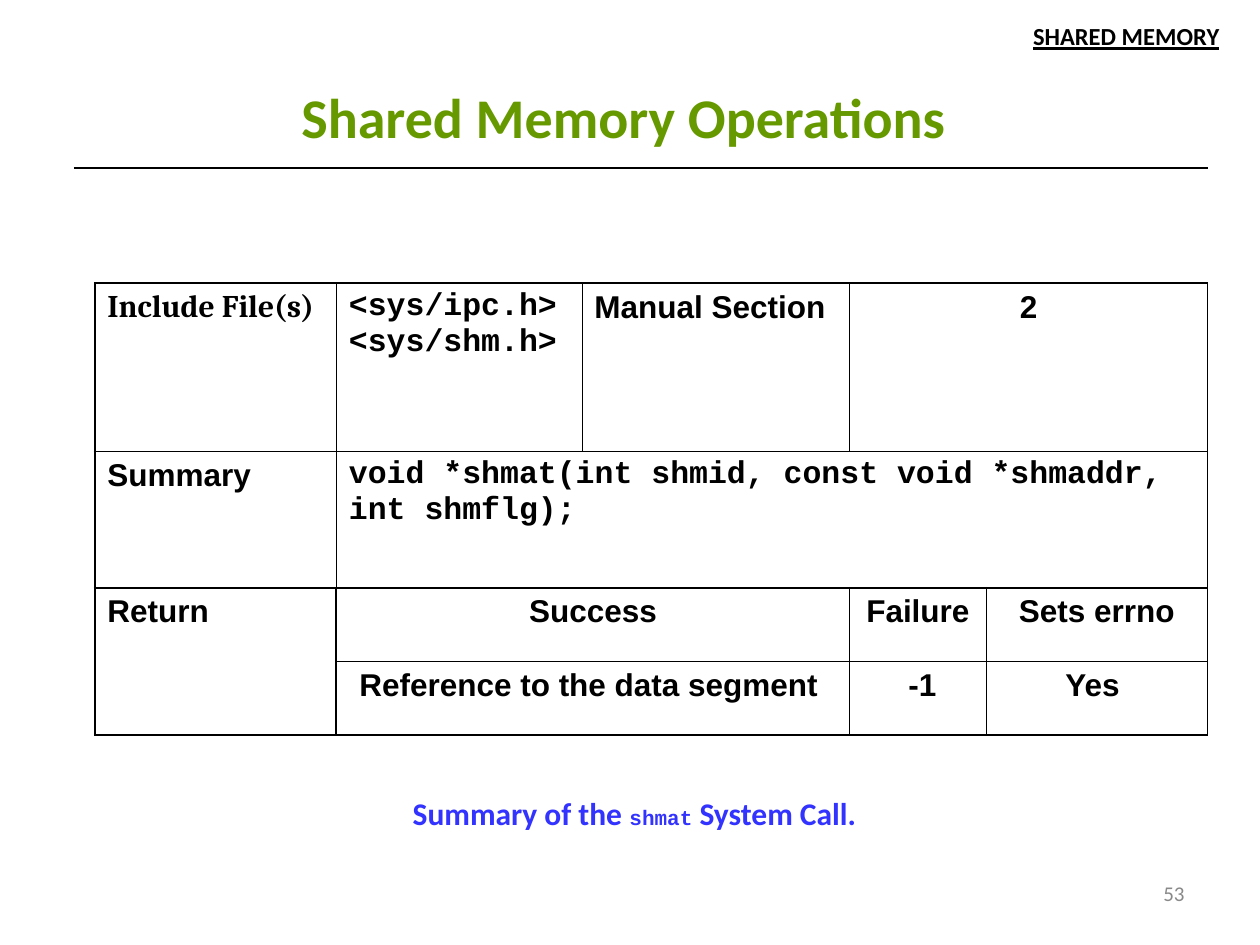
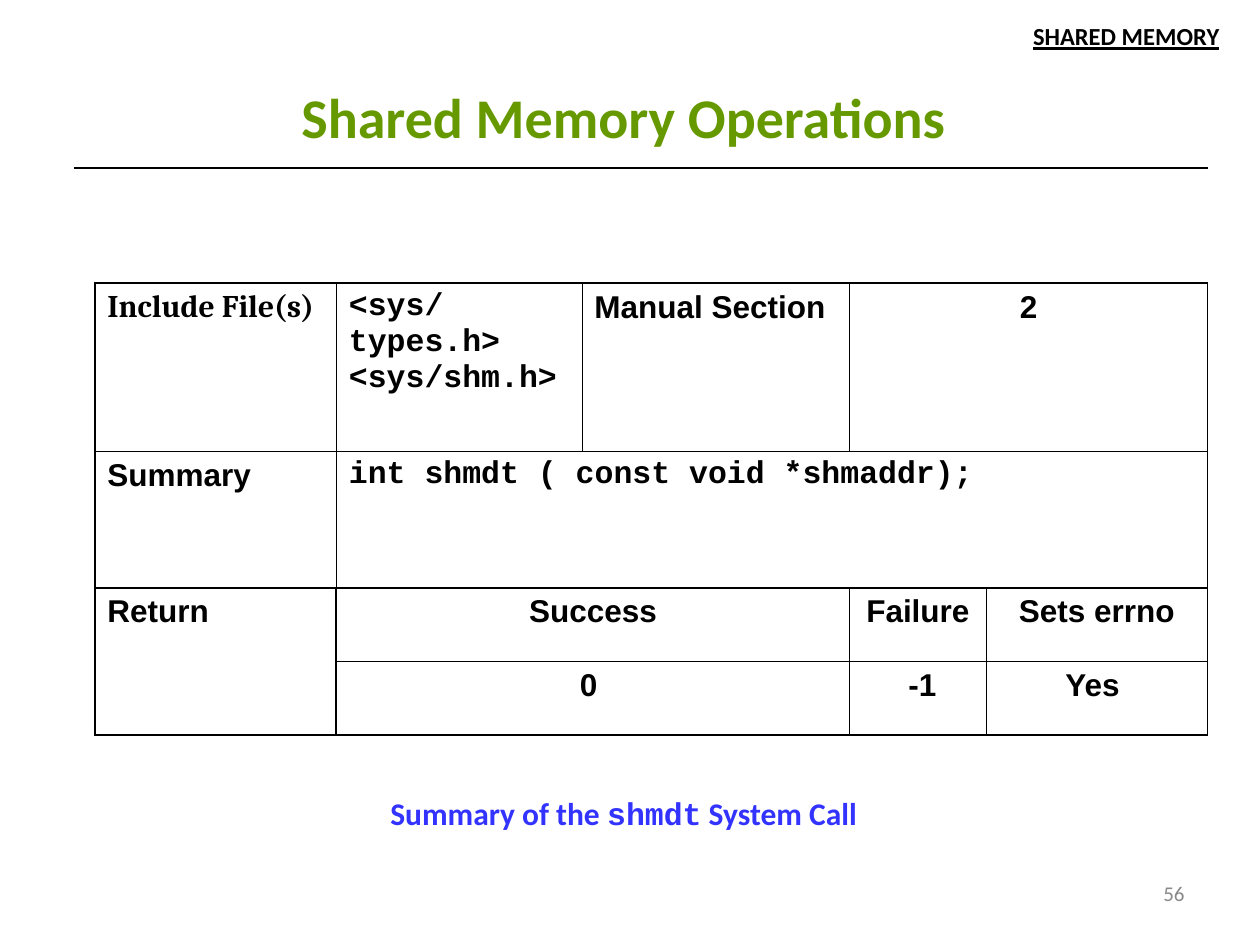
from itertools import accumulate

from lxml import etree
from pptx import Presentation
from pptx.dml.color import RGBColor
from pptx.enum import shapes, text
from pptx.oxml.ns import qn
from pptx.util import Cm, Pt

# Content
HEADING = "SHARED MEMORY"
TITLE = "Shared Memory Operations "
CALLS = [
    {
        "number": "53",
        "includes": "<sys/ipc.h> <sys/shm.h>",
        "signature": "void *shmat(int shmid, const void *shmaddr, int shmflg);",
        "success": "Reference to the data segment ",
        "caption": ("Summary of the ", "shmat", " System Call."),
        "caption_left": 8.07,
        "caption_width": 9.55,
        "name_size": 12,
    },
    {
        "number": "56",
        "includes": "<sys/types.h> <sys/shm.h>",
        "signature": "int shmdt ( const void *shmaddr);",
        "success": "0 ",
        "caption": ("Summary of the ", "shmdt", " System Call"),
        "caption_left": 7.62,
        "caption_width": 10.06,
        "name_size": 18,
    },
]

# Shared style
BLACK = RGBColor(0x00, 0x00, 0x00)
WHITE = RGBColor(0xFF, 0xFF, 0xFF)
GREEN = RGBColor(0x66, 0x99, 0x00)
BLUE = RGBColor(0x33, 0x33, 0xFF)
GREY = RGBColor(0x89, 0x89, 0x89)
BODY, LABEL, SERIF, CODE = "Calibri", "Arial", "Cambria", "Courier New"
OUTER, INNER, NONE = Pt(1.08), Pt(0.45), 0
LEFT, CENTER, RIGHT = (text.PP_ALIGN.LEFT, text.PP_ALIGN.CENTER,
                       text.PP_ALIGN.RIGHT)

# Grid edges, in centimetres, that all the table blocks share
COLUMN_EDGES = list(accumulate([1.91, 4.87, 4.95, 5.4, 2.75, 4.46]))
ROW_EDGES = list(accumulate([5.71, 3.39, 2.75, 1.48, 1.48]))


def style(span, size, font, color, bold=True):
    span.font.size = Pt(size)
    span.font.name = font
    span.font.color.rgb = color
    span.font.bold = bold


def add_text(page, place, spans, align=LEFT, wrap=True, margin=True):
    """Add a text box; each span is (words, size, font, color, bold)."""
    box = page.shapes.add_textbox(*map(Cm, place))
    frame = box.text_frame
    frame.word_wrap = wrap
    if not margin:
        frame.margin_left = frame.margin_right = 0
        frame.margin_top = frame.margin_bottom = 0
    para = frame.paragraphs[0]
    para.alignment = align
    for words, *look in spans:
        span = para.add_run()
        span.text = words
        style(span, *look)
    return frame


def set_borders(cell, widths):
    """Draw the left, right, top and bottom borders of a cell."""
    properties = cell._tc.get_or_add_tcPr()
    for index, (side, width) in enumerate(zip("LRTB", widths)):
        line = etree.Element(qn(f"a:ln{side}"), w=str(width))
        if width == NONE:
            etree.SubElement(line, qn("a:noFill"))
        else:
            fill = etree.SubElement(line, qn("a:solidFill"))
            etree.SubElement(fill, qn("a:srgbClr"), val=str(BLACK))
        properties.insert(index, line)


def add_plain_table(page, xs, ys):
    """Add an unfilled table with the given column and row edges."""
    table = page.shapes.add_table(
        len(ys) - 1, len(xs) - 1, Cm(xs[0]), Cm(ys[0]),
        Cm(xs[-1] - xs[0]), Cm(ys[-1] - ys[0])).table
    table.first_row = table.horz_banding = False
    for column, start, end in zip(table.columns, xs, xs[1:]):
        column.width = Cm(end - start)
    for row, start, end in zip(table.rows, ys, ys[1:]):
        row.height = Cm(end - start)
    for cell in table.iter_cells():
        cell.fill.background()
    return table


def add_block(page, columns, rows, cells):
    """Add a bordered table whose edges lie on the shared grid."""
    table = add_plain_table(page, [COLUMN_EDGES[i] for i in columns],
                            [ROW_EDGES[i] for i in rows])
    last_row, last_column = len(rows) - 2, len(columns) - 2
    for r, row in enumerate(cells):
        for c, (words, font, align) in enumerate(row):
            cell = table.cell(r, c)
            edges = (c == 0, c == last_column, r == 0, r == last_row)
            set_borders(cell, [OUTER if edge else INNER for edge in edges])
            cell.text_frame.text = words
            para = cell.text_frame.paragraphs[0]
            para.alignment = align
            style(para.runs[0], 18, font, BLACK)


def add_heading(page):
    box = page.shapes.add_shape(shapes.MSO_SHAPE.RECTANGLE, Cm(20.57),
                                Cm(0.3), Cm(4.27), Cm(0.86))
    box.shadow.inherit = False
    box.fill.solid()
    box.fill.fore_color.rgb = WHITE
    color = box._element.spPr.find(f"{qn('a:solidFill')}/{qn('a:srgbClr')}")
    etree.SubElement(color, qn("a:alpha"), val="72000")
    box.line.color.rgb = WHITE
    box.line.width = Pt(1)
    frame = box.text_frame
    frame.word_wrap = False
    frame.text = HEADING
    para = frame.paragraphs[0]
    para.alignment = CENTER
    style(para.runs[0], 14, BODY, BLACK)
    para.runs[0].font.underline = True


def add_frame(page, number):
    """Add the number, the title and the ruled body area below it."""
    footer = add_text(page, (18.2, 17.35, 5.93, 1.32),
                      [(number, 12, BODY, GREY, False)], RIGHT)
    title = add_text(page, (1.27, 1.55, 22.86, 1.6),
                     [(TITLE, 32, BODY, GREEN)], CENTER, margin=False)
    footer.vertical_anchor = title.vertical_anchor = text.MSO_ANCHOR.MIDDLE

    body = add_plain_table(page, (1.49, 24.35), (3.39, 17.99))
    set_borders(body.cell(0, 0), (NONE, NONE, OUTER, NONE))


def add_call(page, call):
    """Add the summary tables of a system call and their caption."""
    add_block(page, (0, 1), (2, 4), [[("Return", LABEL, LEFT)]])
    add_block(page, (0, 1, 5), (1, 2), [
        [("Summary", LABEL, LEFT), (call["signature"], CODE, LEFT)]])
    add_block(page, (0, 1, 2, 3, 5), (0, 1), [
        [("Include File(s)", SERIF, LEFT), (call["includes"], CODE, LEFT),
         ("Manual Section", LABEL, LEFT), ("2", LABEL, CENTER)]])
    results = [("Success", "Failure", "Sets errno"),
               (call["success"], " -1", "Yes ")]
    add_block(page, (1, 3, 4, 5), (2, 3, 4),
              [[(words, LABEL, CENTER) for words in row] for row in results])

    before, name, after = call["caption"]
    add_text(page, (call["caption_left"], 15.88, call["caption_width"], 1.02),
             [(before, 18, BODY, BLUE),
              (name, call["name_size"], CODE, BLUE),
              (after, 18, BODY, BLUE)], wrap=False)


def main():
    deck = Presentation()
    deck.slide_width, deck.slide_height = Cm(25.4), Cm(19.05)
    for call in CALLS:
        page = deck.slides.add_slide(deck.slide_layouts[6])
        add_frame(page, call["number"])
        add_call(page, call)
        add_heading(page)
    deck.save("out.pptx")


if __name__ == "__main__":
    main()
